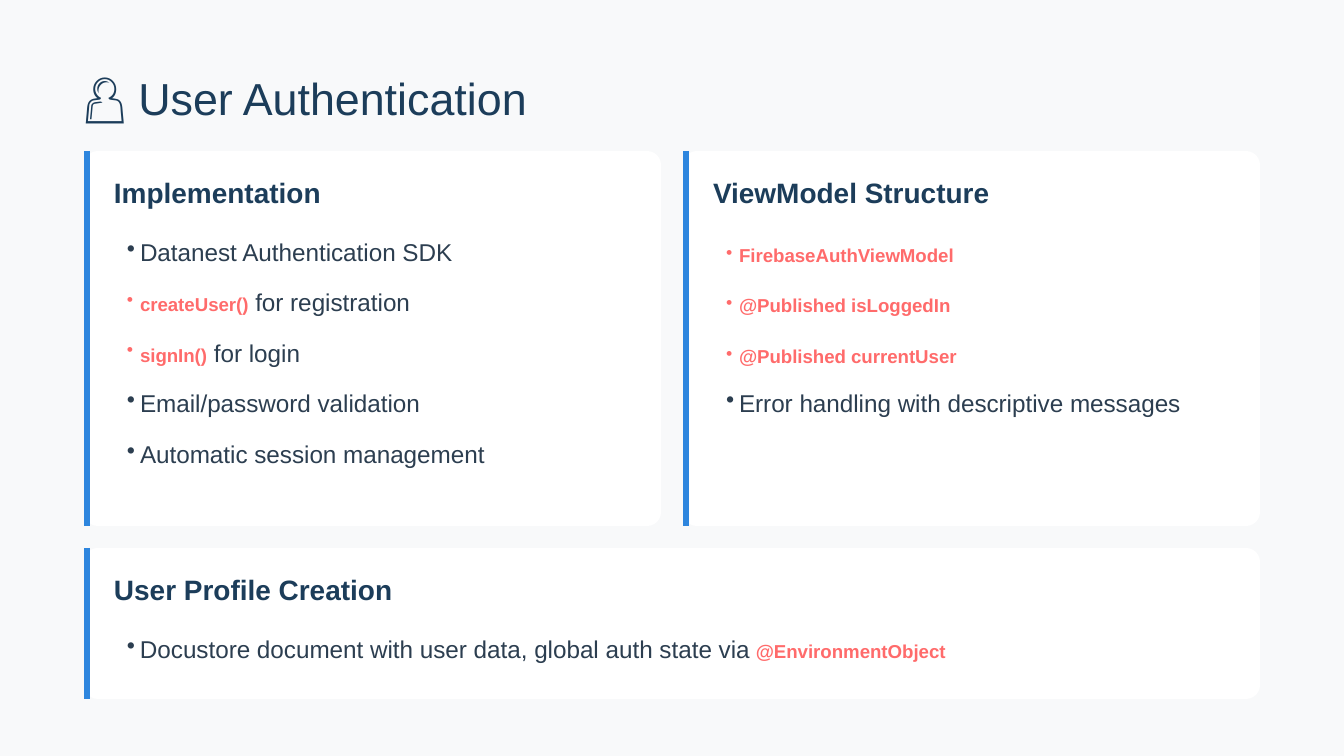
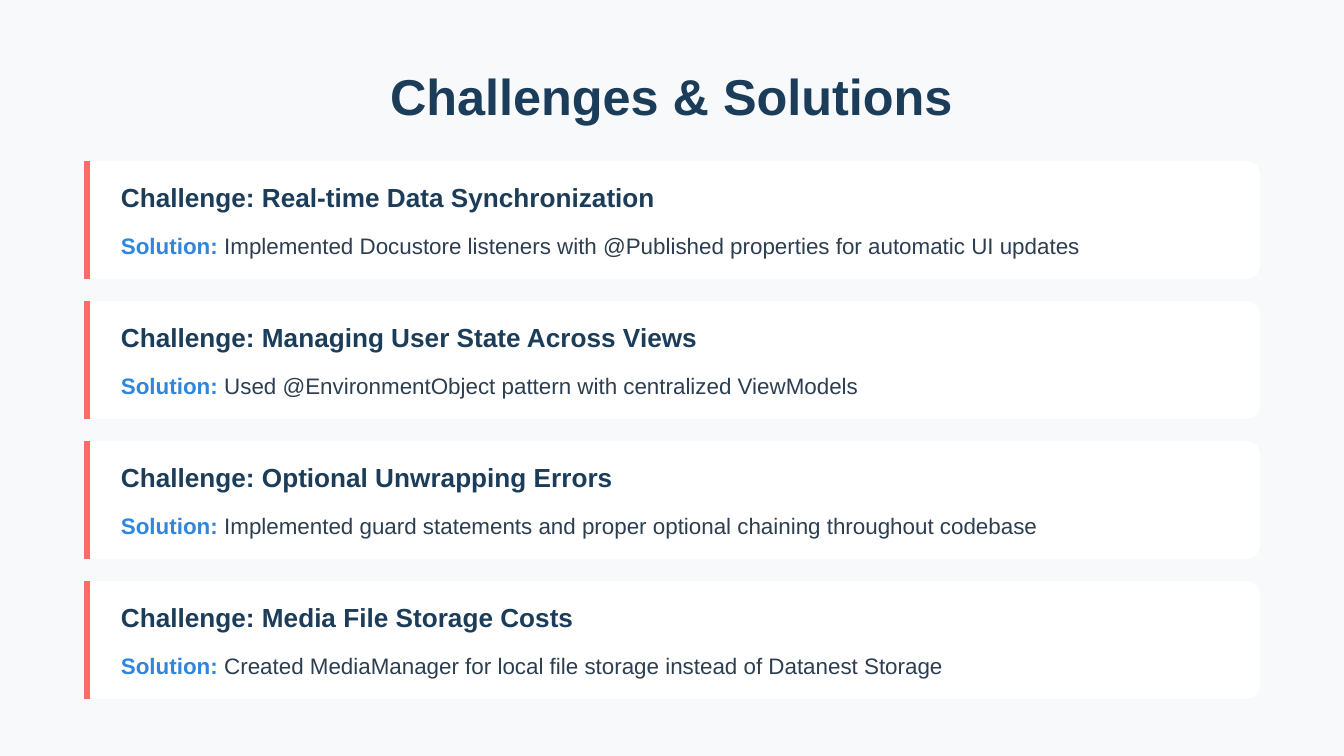
from dataclasses import dataclass

from lxml.etree import SubElement
from pptx import Presentation
from pptx.dml.color import RGBColor
from pptx.enum.shapes import MSO_CONNECTOR, MSO_SHAPE
from pptx.enum.text import MSO_ANCHOR, PP_ALIGN
from pptx.oxml.ns import qn
from pptx.util import Pt

# Content: each paragraph is a list of (style, text) runs
TITLE_1 = [("icon", "👤"), ("title", " User Authentication")]
TITLE_2 = [("head", "Challenges & Solutions")]

TOPICS = [
    ("Implementation", [
        [("body", "Datanest Authentication SDK")],
        [("code", "createUser()"), ("body", " for registration")],
        [("code", "signIn()"), ("body", " for login")],
        [("body", "Email/password validation")],
        [("body", "Automatic session management")],
    ]),
    ("ViewModel Structure", [
        [("code", "FirebaseAuthViewModel")],
        [("code", "@Published isLoggedIn")],
        [("code", "@Published currentUser")],
        [("body", "Error handling with descriptive messages")],
    ]),
    ("User Profile Creation", [
        [("body", "Docustore document with user data, global auth state via "),
         ("code", "@EnvironmentObject")],
    ]),
]

ISSUES = [
    ("Real-time Data Synchronization",
     "Implemented Docustore listeners with @Published properties for automatic UI updates"),
    ("Managing User State Across Views",
     "Used @EnvironmentObject pattern with centralized ViewModels"),
    ("Optional Unwrapping Errors",
     "Implemented guard statements and proper optional chaining throughout codebase"),
    ("Media File Storage Costs",
     "Created MediaManager for local file storage instead of Datanest Storage"),
]


@dataclass(frozen=True)
class Theme:
    font: str = "Arial"
    page: str = "F8F9FA"
    card: str = "FFFFFF"
    navy: str = "1C3D5A"
    ink: str = "2C3E50"
    blue: str = "2E86DE"
    coral: str = "FF6B6B"

    def style(self, name):
        """Size, colour and weight of a run style."""
        return {
            "icon": (27, self.navy, True),
            "title": (24, self.navy, False),
            "head": (27, self.navy, True),
            "topic": (15, self.navy, True),
            "body": (13, self.ink, False),
            "code": (10, self.coral, True),
            "issue": (14, self.navy, True),
            "label": (12, self.blue, True),
            "answer": (12, self.ink, False),
        }[name]


THEME = Theme()

# Layout in px
SCALE = 914400 / 134.4
WIDTH, HEIGHT = 1344, 756
LEFT, GAP, RADIUS = 84, 22, 14
FULL = WIDTH - 2 * LEFT
HALF = (FULL - GAP) // 2
TITLE_TOP, TITLE_W, TITLE_H = 70, 601, 56
INDENT = 13


def px(n):
    return round(n * SCALE)


def rgb(code):
    return RGBColor.from_string(code)


def add_page(deck):
    slide = deck.slides.add_slide(deck.slide_layouts[6])
    slide.background.fill.solid()
    slide.background.fill.fore_color.rgb = rgb(THEME.page)
    return slide


def set_bullet(para, color):
    props = para._p.get_or_add_pPr()
    props.set("marL", str(px(INDENT)))
    props.set("indent", str(-px(INDENT)))
    tint = SubElement(props, qn("a:buClr"))
    SubElement(tint, qn("a:srgbClr")).set("val", color)
    SubElement(props, qn("a:buChar")).set("char", "•")


def add_text(slide, box, paras, lead, after=0, align=PP_ALIGN.LEFT, bullets=False):
    frame = slide.shapes.add_textbox(*map(px, box)).text_frame
    frame.word_wrap = True
    frame.vertical_anchor = MSO_ANCHOR.TOP
    frame.margin_left = px(INDENT) if bullets else 0
    frame.margin_top = frame.margin_right = frame.margin_bottom = 0
    for i, runs in enumerate(paras):
        para = frame.add_paragraph() if i else frame.paragraphs[0]
        if bullets:
            set_bullet(para, THEME.style(runs[0][0])[1])
        para.alignment = align
        para.line_spacing = Pt(lead)
        para.space_after = Pt(after)
        for name, words in runs:
            run = para.add_run()
            run.text = words
            size, color, bold = THEME.style(name)
            run.font.name = THEME.font
            run.font.size = Pt(size)
            run.font.bold = bold
            run.font.color.rgb = rgb(color)


def add_card(slide, x, y, w, h, accent):
    card = slide.shapes.add_shape(MSO_SHAPE.ROUNDED_RECTANGLE, *map(px, (x, y, w, h)))
    card.adjustments[0] = RADIUS / h
    card.shadow.inherit = False
    card.fill.solid()
    card.fill.fore_color.rgb = rgb(THEME.card)
    card.line.fill.background()
    # Accent bar along the left edge
    bar = slide.shapes.add_connector(
        MSO_CONNECTOR.STRAIGHT, *map(px, (x + 3, y, x + 3, y + h)))
    bar.line.color.rgb = rgb(accent)
    bar.line.width = Pt(3)
    SubElement(bar._element.spPr, qn("a:effectLst"))


def build_auth(deck):
    slide = add_page(deck)
    add_text(slide, (LEFT, TITLE_TOP, TITLE_W, TITLE_H), [TITLE_1], 30, 13.5)

    # Two cards side by side, one full-width card below
    top, tall, short = 151, 375, 151
    spots = [
        (LEFT, top, HALF, tall),
        (LEFT + HALF + GAP, top, HALF, tall),
        (LEFT, top + tall + GAP, FULL, short),
    ]
    for (name, points), (x, y, w, h) in zip(TOPICS, spots):
        add_card(slide, x, y, w, h, THEME.blue)
        add_text(slide, (x + 30, y + 25, w - 46, 34), [[("topic", name)]], 18, 9)
        add_text(slide, (x + 30, y + 76, w - 57, 56 * len(points) - 5),
                 points, 21, 6, bullets=True)


def build_issues(deck):
    slide = add_page(deck)
    add_text(slide, ((WIDTH - TITLE_W) // 2, TITLE_TOP, TITLE_W, TITLE_H),
             [TITLE_2], 30, 18.7, PP_ALIGN.CENTER)

    # Stack of equal cards
    top, h = 161, 118
    for i, (issue, answer) in enumerate(ISSUES):
        y = top + i * (h + GAP)
        add_card(slide, LEFT, y, FULL, h, THEME.coral)
        add_text(slide, (LEFT + 37, y + 20, FULL - 46, 32),
                 [[("issue", f"Challenge: {issue}")]], 17.1, 6)
        add_text(slide, (LEFT + 37, y + 64, FULL - 46, 34),
                 [[("label", "Solution:"), ("answer", f" {answer}")]], 18)


def main():
    deck = Presentation()
    deck.slide_width, deck.slide_height = px(WIDTH), px(HEIGHT)
    build_auth(deck)
    build_issues(deck)
    deck.save("out.pptx")


if __name__ == "__main__":
    main()
